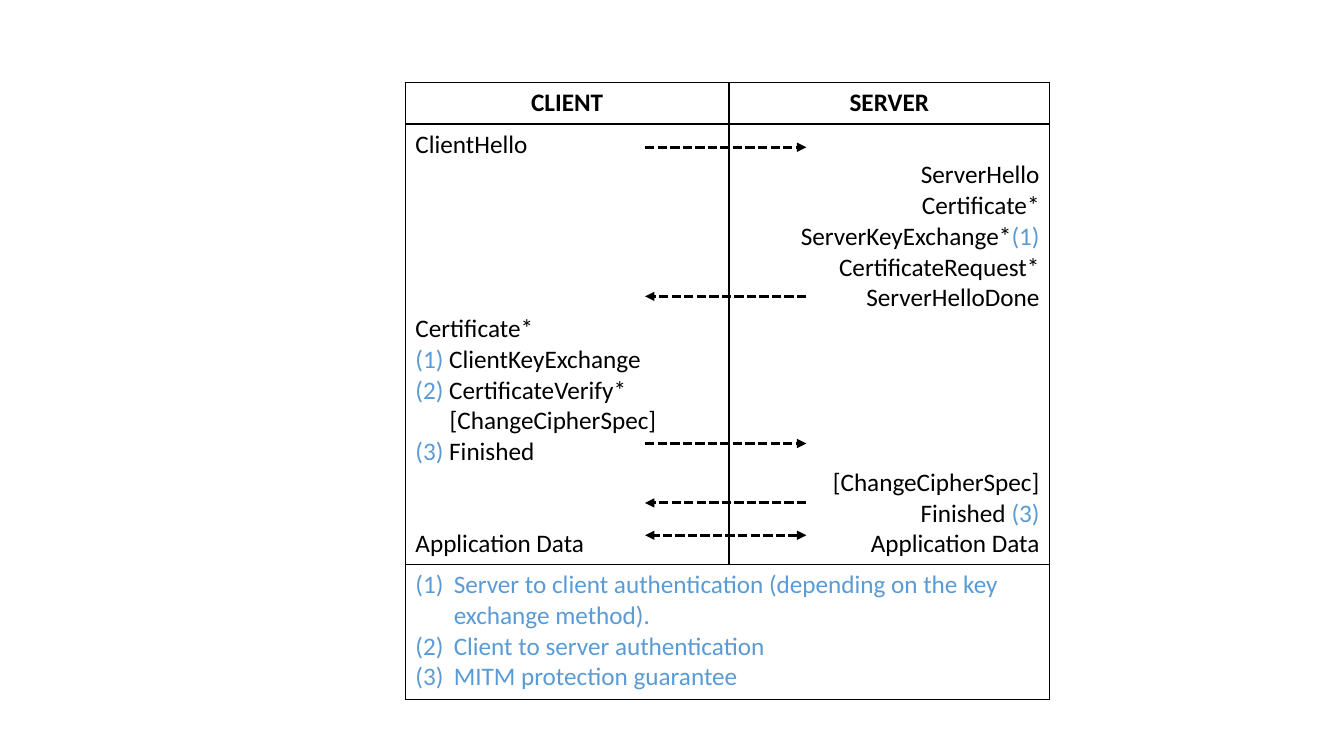
from lxml.etree import SubElement
from pptx import Presentation
from pptx.dml.color import RGBColor
from pptx.enum.dml import MSO_LINE
from pptx.enum.shapes import MSO_CONNECTOR
from pptx.enum.text import PP_ALIGN
from pptx.oxml import parse_xml
from pptx.oxml.ns import nsdecls, qn
from pptx.util import Inches, Pt

WIDTH, HEIGHT = Inches(13.33), Inches(7.5)
BLACK, BLUE = "000000", "5B9BD5"
LINE_HEIGHT = Pt(21.97)
CELL_INSET = Inches(0.05)
ARROW_LEFT, ARROW_RIGHT = 48, 60

CLIENT_STEPS = [
    (0, 0, [("ClientHello", BLACK)]),
    (5, 0, [("Certificate*", BLACK)]),
    (0, 0, [("(1) ", BLUE), ("ClientKeyExchange", BLACK)]),
    (0, 0, [("(2) ", BLUE), ("CertificateVerify*", BLACK)]),
    (0, 0.34, [("[ChangeCipherSpec]", BLACK)]),
    (0, 0, [("(3) ", BLUE), ("Finished", BLACK)]),
    (2, 0, [("Application Data", BLACK)]),
]
SERVER_STEPS = [
    (0, 0, [("ServerHello", BLACK)]),
    (0, 0, [("Certificate*", BLACK)]),
    (0, 0, [("ServerKeyExchange*", BLACK), ("(1)", BLUE)]),
    (0, 0, [("CertificateRequest*", BLACK)]),
    (0, 0, [("ServerHelloDone", BLACK)]),
    (5, 0, [("[ChangeCipherSpec]", BLACK)]),
    (0, 0, [("Finished ", BLACK), ("(3)", BLUE)]),
    (0, 0, [("Application Data", BLACK)]),
]
NOTES = [
    "Server to client authentication (depending on the key exchange method).",
    "Client to server authentication",
    "MITM protection guarantee",
]
ARROWS = [
    (19.47, ARROW_LEFT, ARROW_RIGHT, ["tailEnd"]),
    (39.2, ARROW_RIGHT, ARROW_LEFT, ["tailEnd"]),
    (58.67, ARROW_LEFT, ARROW_RIGHT, ["tailEnd"]),
    (66.53, ARROW_RIGHT, ARROW_LEFT, ["tailEnd"]),
    (70.8, ARROW_RIGHT, ARROW_LEFT, ["headEnd", "tailEnd"]),
]


def across(percent):
    """Return a share of the slide width."""
    return round(WIDTH * percent / 100)


def down(percent):
    """Return a share of the slide height."""
    return round(HEIGHT * percent / 100)


def colour(code):
    """Turn a hex string into a colour."""
    return RGBColor.from_string(code)


def write_span(para, text, code, bold=False):
    """Add one run of text to a paragraph."""
    span = para.add_run()
    span.text = text
    span.font.name = "Calibri"
    span.font.size = Pt(18)
    span.font.bold = bold
    span.font.color.rgb = colour(code)


def add_paras(cell, count):
    """Return the given number of paragraphs in an empty cell."""
    frame = cell.text_frame
    return [frame.paragraphs[0]] + [frame.add_paragraph() for _ in range(count - 1)]


def write_heading(cell, text):
    """Write a bold, centred column heading."""
    para = add_paras(cell, 1)[0]
    para.alignment = PP_ALIGN.CENTER
    write_span(para, text, BLACK, bold=True)


def write_steps(cell, steps, alignment, first_line=0):
    """Write handshake messages, leaving room for the other side's lines."""
    cell.margin_top = CELL_INSET + first_line * LINE_HEIGHT
    for para, (skipped, indent, spans) in zip(add_paras(cell, len(steps)), steps):
        para.alignment = alignment
        if skipped:
            para.space_before = skipped * LINE_HEIGHT
        if indent:
            para._p.get_or_add_pPr().set("marL", str(Inches(indent)))
        for text, code in spans:
            write_span(para, text, code)


def write_notes(cell, notes):
    """Write an automatically numbered list."""
    for para, note in zip(add_paras(cell, len(notes)), notes):
        properties = para._p.get_or_add_pPr()
        properties.set("marL", str(Inches(0.38)))
        properties.set("indent", str(-Inches(0.38)))
        SubElement(properties, qn("a:buAutoNum"), type="arabicParenBoth")
        write_span(para, note, BLUE)


def frame_cell(cell):
    """Give a cell no fill and a thin black border on each side."""
    cell.fill.background()
    properties = cell._tc.get_or_add_tcPr()
    for position, side in enumerate("LRTB"):
        properties.insert(position, parse_xml(
            f'<a:ln{side} {nsdecls("a")} w="{Pt(1)}"><a:solidFill>'
            f'<a:srgbClr val="{BLACK}"/></a:solidFill></a:ln{side}>'))


def add_handshake_table(page):
    """Add the empty bordered table and return it."""
    columns, rows = (24.08, 23.86), (5.47, 58.27, 17.87)
    table = page.shapes.add_table(
        len(rows), len(columns), across(30.16), down(10.93),
        across(sum(columns)), down(sum(rows))).table
    table.first_row = table.horz_banding = False
    for column, share in zip(table.columns, columns):
        column.width = across(share)
    for row, share in zip(table.rows, rows):
        row.height = down(share)
    for cell in table.iter_cells():
        frame_cell(cell)
    table.cell(2, 0).merge(table.cell(2, 1))
    return table


def add_arrow(page, level, start, end, heads):
    """Add a dashed horizontal message arrow."""
    arrow = page.shapes.add_connector(
        MSO_CONNECTOR.STRAIGHT, across(start), down(level), across(end), down(level))
    arrow.line.color.rgb = colour(BLACK)
    arrow.line.width = Pt(2.25)
    arrow.line.dash_style = MSO_LINE.SQUARE_DOT
    for head in heads:
        SubElement(arrow.get_or_add_ln(), qn(f"a:{head}"), type="triangle")
    SubElement(arrow._element.spPr, qn("a:effectLst"))


def main():
    """Build the handshake slide and save it."""
    deck = Presentation()
    deck.slide_width, deck.slide_height = WIDTH, HEIGHT
    page = deck.slides.add_slide(deck.slide_layouts[6])
    table = add_handshake_table(page)
    write_heading(table.cell(0, 0), "CLIENT")
    write_heading(table.cell(0, 1), "SERVER")
    write_steps(table.cell(1, 0), CLIENT_STEPS, PP_ALIGN.LEFT)
    write_steps(table.cell(1, 1), SERVER_STEPS, PP_ALIGN.RIGHT, first_line=1)
    write_notes(table.cell(2, 0), NOTES)
    for arrow in ARROWS:
        add_arrow(page, *arrow)
    deck.save("out.pptx")


main()
